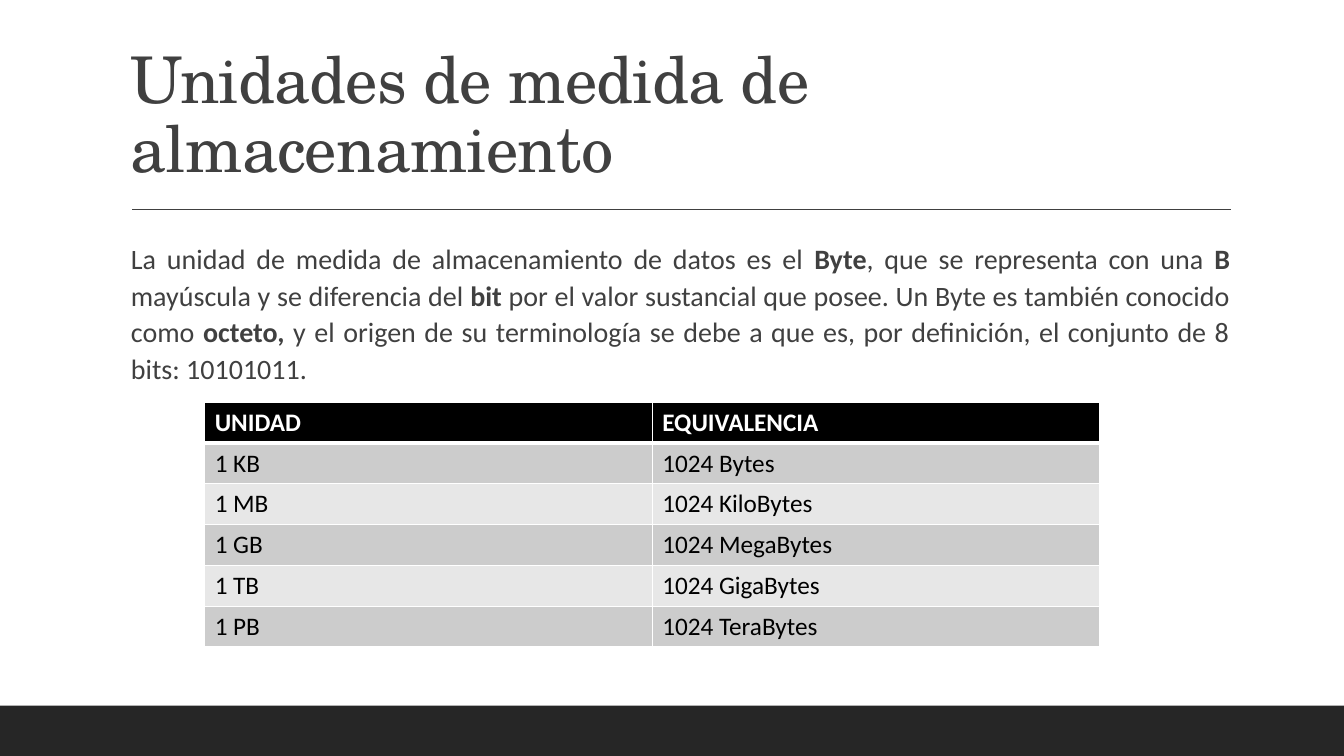
from pptx import Presentation
from pptx.dml.color import RGBColor as RGB
from pptx.enum.shapes import MSO_CONNECTOR as Conn, MSO_SHAPE as Shape
from pptx.enum.text import MSO_ANCHOR as Anchor, PP_ALIGN as Align
from pptx.oxml.ns import qn
from pptx.util import Inches, Pt
from lxml.etree import SubElement as Sub

# Content
TITLE = "Unidades de medida de almacenamiento"
BODY = [  # text, bold
    ("La unidad de medida de almacenamiento de datos es el ", False),
    ("Byte", True),
    (", que se representa con una ", False),
    ("B", True),
    (" mayúscula y se diferencia del ", False),
    ("bit", True),
    (" por el valor sustancial que posee. Un Byte es también conocido como ", False),
    ("octeto, ", True),
    ("y el origen de su terminología se debe a que es, por definición, "
     "el conjunto de 8 bits: 10101011.", False),
]
ROWS = [
    ("UNIDAD", "EQUIVALENCIA"),
    ("1 KB", "1024 Bytes"),
    ("1 MB", "1024 KiloBytes"),
    ("1 GB", "1024 MegaBytes"),
    ("1 TB", "1024 GigaBytes"),
    ("1 PB", "1024 TeraBytes"),
]
COLORS = {"text": "404040", "bar": "262626", "head": "000000", "odd": "CCCCCC",
          "even": "E7E7E7", "white": "FFFFFF", "black": "000000"}
SERIF, SANS = "TeX Gyre Schola", "Calibri"
COL_W, ROW_H = 4.44, 0.405


def color(name):
    return RGB.from_string(COLORS[name])


def style(run, font, size, tone, bold=False):
    run.font.name, run.font.size, run.font.bold = font, Pt(size), bold
    run.font.color.rgb = color(tone)


def add_box(slide, left, top, width, height, anchor):
    box = slide.shapes.add_textbox(*map(Inches, (left, top, width, height)))
    frame = box.text_frame
    frame.word_wrap, frame.vertical_anchor = True, anchor
    return frame


def add_edges(cell, base):
    props = cell._tc.get_or_add_tcPr()
    widths = {"lnL": 1, "lnR": 1, "lnT": 1, "lnB": base}
    for spot, (tag, width) in enumerate(widths.items()):
        edge = Sub(props, qn("a:" + tag), w=str(Pt(width)))
        fill = Sub(edge, qn("a:solidFill"))
        Sub(fill, qn("a:srgbClr"), val=COLORS["white"])
        props.insert(spot, edge)  # edges come before the cell fill


deck = Presentation()
deck.slide_width, deck.slide_height = Inches(13.33), Inches(7.5)
slide = deck.slides.add_slide(deck.slide_layouts[6])

# Bottom bar
bar = slide.shapes.add_shape(Shape.RECTANGLE, 0, Inches(7), deck.slide_width, Inches(0.5))
bar.shadow.inherit = False
bar.fill.solid()
bar.fill.fore_color.rgb = color("bar")
bar.line.fill.background()

# Rule under the title
rule = slide.shapes.add_connector(Conn.STRAIGHT, *map(Inches, (1.31, 2.08, 12.21, 2.08)))
rule.line.color.rgb, rule.line.width = color("text"), Pt(1)
Sub(rule._element.spPr, qn("a:effectLst"))

# Title
para = add_box(slide, 1.2, 0.31, 11, 1.59, Anchor.BOTTOM).paragraphs[0]
para.text, para.line_spacing = TITLE, 0.9
style(para.runs[0], SERIF, 46, "text")
para.runs[0].font._element.set("spc", "-50")

# Body
frame = add_box(slide, 1.2, 2.31, 11, 1.6, Anchor.TOP)
frame.margin_right = 0
para = frame.paragraphs[0]
para.alignment, para.line_spacing = Align.JUSTIFY, 1.1
for text, bold in BODY:
    run = para.add_run()
    run.text = text
    style(run, SANS, 20, "text", bold)

# Table of units
size = (2 * COL_W, len(ROWS) * ROW_H)
table = slide.shapes.add_table(len(ROWS), 2, *map(Inches, (2.03, 3.99, *size))).table
for r, row in enumerate(ROWS):
    head = r == 0
    back = "head" if head else "odd" if r % 2 else "even"
    for c, text in enumerate(row):
        cell = table.cell(r, c)
        cell.text = text
        cell.fill.solid()
        cell.fill.fore_color.rgb = color(back)
        style(cell.text_frame.paragraphs[0].runs[0], SANS, 18,
              "white" if head else "black", head)
        add_edges(cell, 3 if head else 1)

deck.save("out.pptx")
